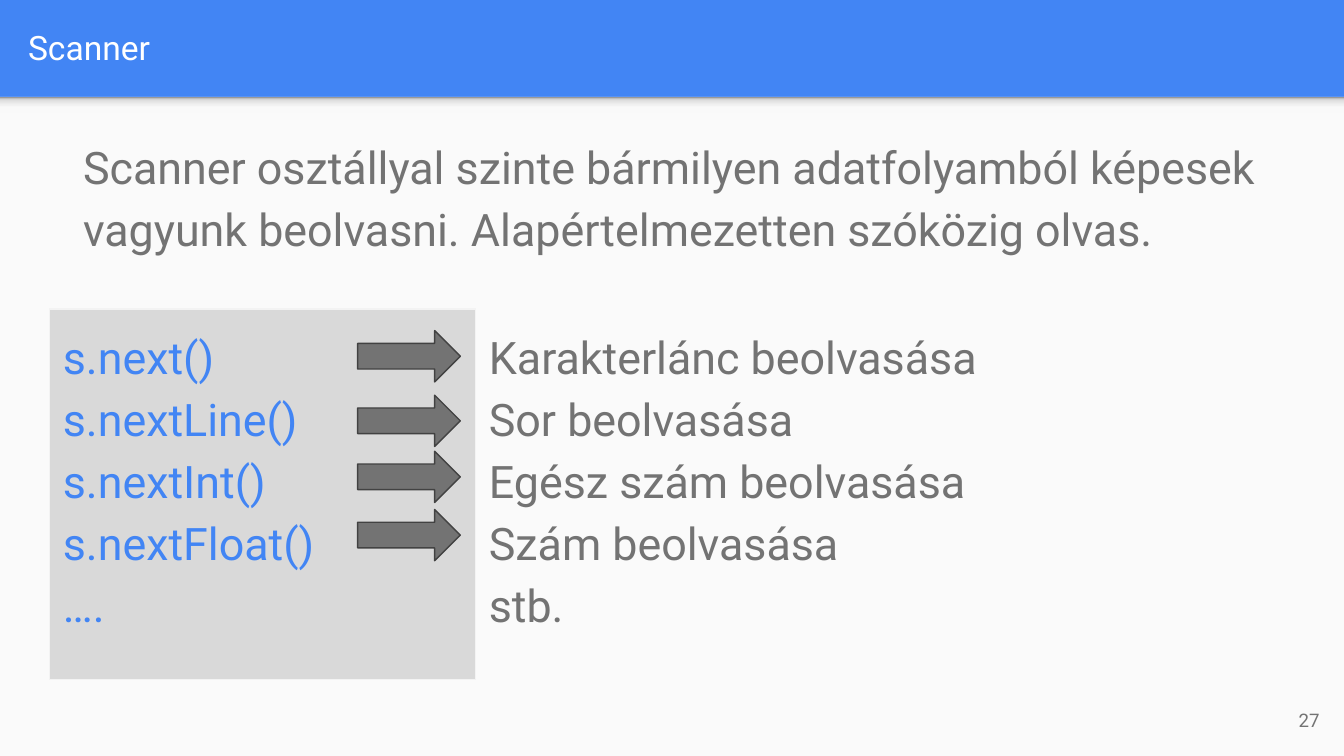
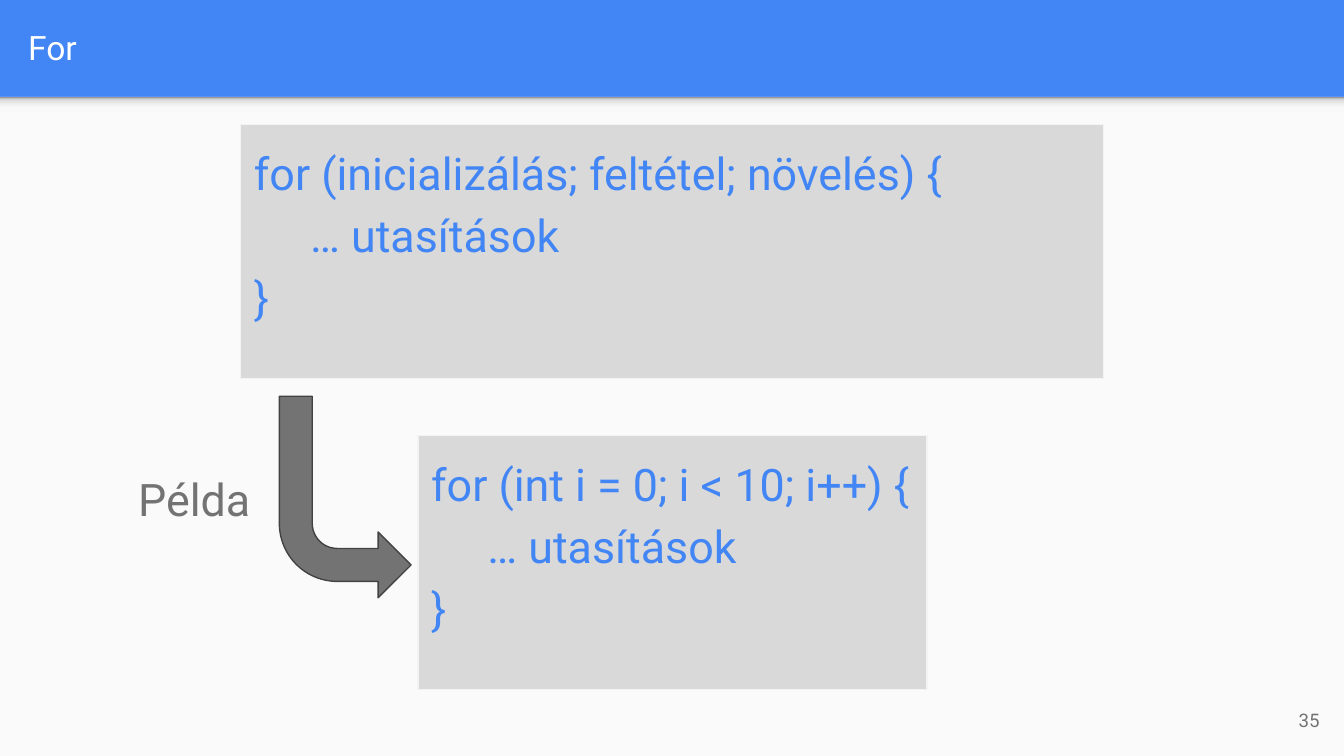
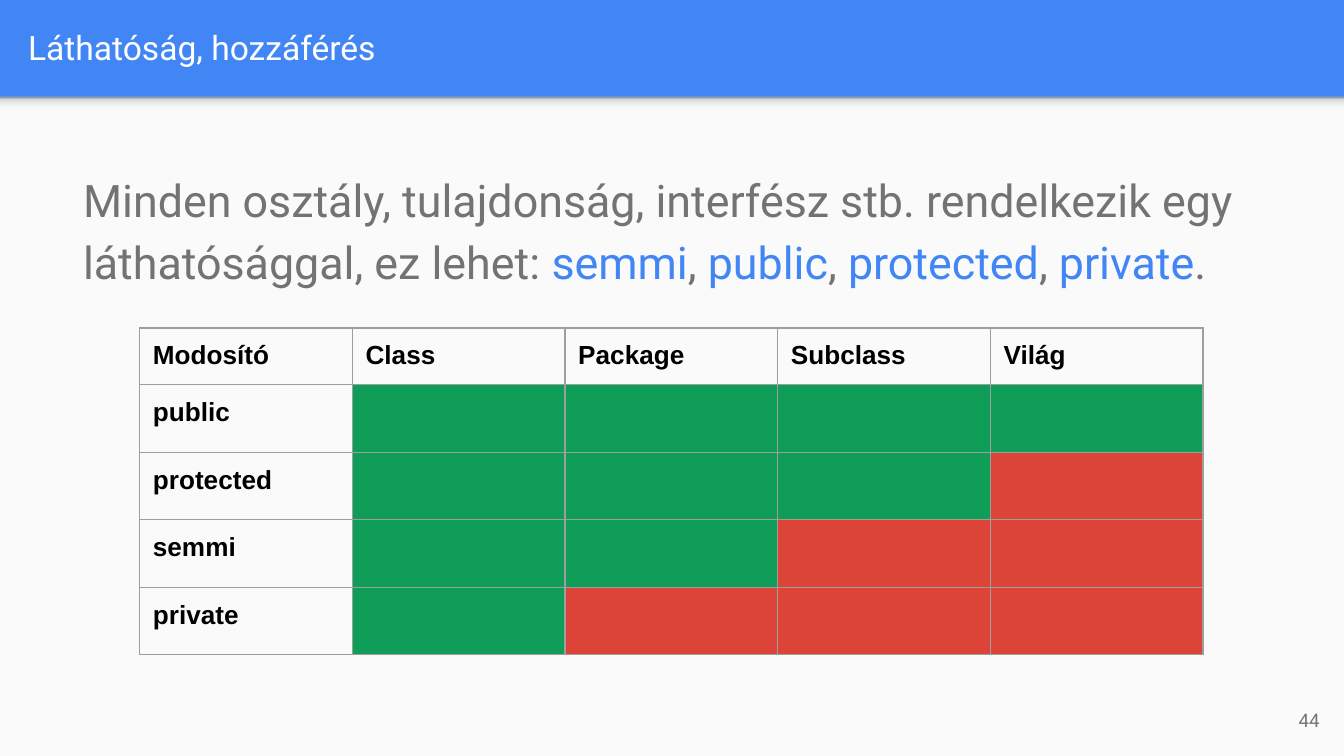
from dataclasses import dataclass

from lxml import etree
from pptx import Presentation
from pptx.dml.color import RGBColor
from pptx.enum import shapes, text
from pptx.oxml import ns
from pptx.util import Cm, Pt

# Content
READER = {
    "title": "Scanner",
    "number": 27,
    "intro": ["Scanner osztállyal szinte bármilyen adatfolyamból képesek vagyunk "
              "beolvasni. Alapértelmezetten szóközig olvas."],
    # call, meaning, top of the arrow in cm
    "calls": [
        ("s.next()", "Karakterlánc beolvasása", 6.25),
        ("s.nextLine()", "Sor beolvasása", 7.47),
        ("s.nextInt()", "Egész szám beolvasása", 8.53),
        ("s.nextFloat()", "Szám beolvasása", 9.63),
        ("….", "stb.", None),
    ],
}
LOOP = {
    "title": "For",
    "number": 35,
    "example": "Példa",
    # box in cm, first line
    "code": [
        ((4.55, 2.36, 16.31, 4.8), "for (inicializálás; feltétel; növelés) {"),
        ((7.9, 8.23, 9.62, 4.8), "for (int i = 0; i < 10; i++) {"),
    ],
    "body": "… utasítások",
}
ACCESS = {
    "title": "Láthatóság, hozzáférés",
    "number": 44,
    # every second piece is a keyword
    "intro": ["Minden osztály, tulajdonság, interfész stb. rendelkezik egy "
              "láthatósággal, ez lehet: ",
              "semmi", ", ", "public", ", ", "protected", ", ", "private", "."],
    "header": ["Modosító", "Class", "Package", "Subclass", "Világ"],
    # modifier, number of scopes that have access
    "modifiers": [("public", 4), ("protected", 3), ("semmi", 2), ("private", 1)],
}


@dataclass(frozen=True)
class Theme:
    font: str = "Roboto"
    table_font: str = "Arial"
    blue: str = "4285F4"
    white: str = "FFFFFF"
    black: str = "000000"
    page: str = "FAFAFA"
    grey: str = "737373"
    arrow_line: str = "424242"
    code_fill: str = "D9D9D9"
    code_line: str = "F3F3F3"
    border: str = "9E9E9E"
    allowed: str = "0F9D58"
    denied: str = "DB4437"
    band_shadow: tuple = ((0, "F9F9F9"), (36, "F9F9F9"), (80, "DEDEDE"), (100, "999999"))
    title_size: int = 18
    body_size: int = 24
    table_size: int = 14
    number_size: int = 10
    line_width: float = 0.75
    line_spacing: float = 1.15
    inset: float = 0.25
    indent: float = 1.06


THEME = Theme()
WIDTH, HEIGHT, BAND = 25.4, 14.29, 1.83


# Text helpers
def rgb(value):
    return RGBColor.from_string(value)


def style_run(run, color, size, font=THEME.font, bold=False):
    run.font.name, run.font.size, run.font.bold = font, Pt(size), bold
    run.font.color.rgb = rgb(color)


def prepare_frame(shape, anchor=text.MSO_ANCHOR.TOP):
    frame = shape.text_frame
    frame.word_wrap = True
    frame.auto_size = text.MSO_AUTO_SIZE.NONE
    frame.vertical_anchor = anchor
    frame.margin_left = frame.margin_right = Cm(THEME.inset)
    frame.margin_top = frame.margin_bottom = Cm(THEME.inset)
    return frame


def write_line(shape, content, color, size, align):
    frame = prepare_frame(shape, text.MSO_ANCHOR.MIDDLE)
    frame.text = content
    paragraph = frame.paragraphs[0]
    paragraph.alignment = align
    style_run(paragraph.runs[0], color, size)


def write_body(shape, lines, color):
    """Each line is (indent level, pieces); every second piece is a keyword."""
    frame = prepare_frame(shape)
    for index, (level, pieces) in enumerate(lines):
        paragraph = frame.add_paragraph() if index else frame.paragraphs[0]
        paragraph.alignment = text.PP_ALIGN.LEFT
        paragraph.line_spacing = THEME.line_spacing
        if level:
            paragraph._p.get_or_add_pPr().set("marL", str(Cm(level * THEME.indent)))
        for position, piece in enumerate(pieces):
            run = paragraph.add_run()
            run.text = piece
            style_run(run, THEME.blue if position % 2 else color, THEME.body_size)


# Shape helpers
def place(box):
    return [Cm(length) for length in box]


def add_shape(slide, kind, box, fill, line=None):
    shape = slide.shapes.add_shape(kind, *place(box))
    shape.shadow.inherit = False
    shape.fill.solid()
    shape.fill.fore_color.rgb = rgb(fill)
    if line:
        shape.line.color.rgb = rgb(line)
        shape.line.width = Pt(THEME.line_width)
    else:
        shape.line.fill.background()
    return shape


def add_arrow(slide, kind, box):
    return add_shape(slide, kind, box, THEME.grey, THEME.arrow_line)


def add_code(slide, box, lines):
    shape = add_shape(slide, shapes.MSO_SHAPE.RECTANGLE, box,
                      THEME.code_fill, THEME.code_line)
    write_body(shape, lines, THEME.blue)


def add_body(slide, box, lines):
    write_body(slide.shapes.add_textbox(*place(box)), lines, THEME.grey)


def add_band_shadow(slide):
    shape = add_shape(slide, shapes.MSO_SHAPE.RECTANGLE, (0, BAND, WIDTH, 0.31), THEME.page)
    shape.fill.gradient()
    shape.fill.gradient_angle = 90
    stops = shape._element.spPr.find(".//" + ns.qn("a:gsLst"))
    for stop in list(stops):
        stops.remove(stop)
    for percent, color in THEME.band_shadow:
        stop = etree.SubElement(stops, ns.qn("a:gs"), pos=str(percent * 1000))
        etree.SubElement(stop, ns.qn("a:srgbClr"), val=color)


def add_slide(presentation, content):
    """Title band, page, shadow under the band and slide number."""
    slide = presentation.slides.add_slide(presentation.slide_layouts[5])
    add_shape(slide, shapes.MSO_SHAPE.RECTANGLE, (0, BAND, WIDTH, HEIGHT - BAND), THEME.page)
    add_band_shadow(slide)
    title = slide.shapes.title
    title.left, title.top, title.width, title.height = place((0.28, 0.05, 24.51, 1.68))
    write_line(title, content["title"], THEME.white, THEME.title_size, text.PP_ALIGN.LEFT)
    number = slide.shapes.add_textbox(*place((23.67, 13.06, 1.52, 1.09)))
    write_line(number, str(content["number"]), THEME.grey, THEME.number_size,
               text.PP_ALIGN.RIGHT)
    return slide


# Table helpers
def style_cell(cell, content, fill):
    cell.margin_left = cell.margin_right = Cm(THEME.inset)
    cell.margin_top = cell.margin_bottom = Cm(THEME.inset)
    properties = cell._tc.get_or_add_tcPr()
    for side in ("lnL", "lnR", "lnT", "lnB"):
        line = etree.SubElement(properties, ns.qn("a:" + side), w=str(Pt(THEME.line_width)))
        solid = etree.SubElement(line, ns.qn("a:solidFill"))
        etree.SubElement(solid, ns.qn("a:srgbClr"), val=THEME.border)
    if fill:
        cell.fill.solid()
        cell.fill.fore_color.rgb = rgb(fill)
    else:
        cell.fill.background()
    if content:
        cell.text_frame.text = content
        style_run(cell.text_frame.paragraphs[0].runs[0], THEME.black,
                  THEME.table_size, THEME.table_font, bold=True)


def add_access_table(slide, header, modifiers):
    column_width, header_height, row_height = 4.02, 1.07, 1.22
    scopes = len(header) - 1
    rows = [[(name, None) for name in header]]
    for modifier, allowed in modifiers:
        rows.append([(modifier, None)] + [
            ("", THEME.allowed if scope < allowed else THEME.denied)
            for scope in range(scopes)])
    box = (2.64, 6.2, column_width * len(header),
           header_height + row_height * len(modifiers))
    table = slide.shapes.add_table(len(rows), len(header), *place(box)).table
    table.first_row = table.horz_banding = False
    for column in table.columns:
        column.width = Cm(column_width)
    for index, row in enumerate(rows):
        table.rows[index].height = Cm(row_height if index else header_height)
        for position, (content, fill) in enumerate(row):
            style_cell(table.cell(index, position), content, fill)


# Slides
def build_reader(presentation):
    slide = add_slide(presentation, READER)
    add_body(slide, (1.32, 2.24, 22.83, 9.98), [(0, READER["intro"])])
    calls = READER["calls"]
    add_code(slide, (0.94, 5.84, 8.05, 7.01), [(0, [call]) for call, _, _ in calls])
    add_body(slide, (8.99, 5.84, 15.8, 7.01), [(0, [meaning]) for _, meaning, _ in calls])
    for _, _, top in calls:
        if top:
            add_arrow(slide, shapes.MSO_SHAPE.RIGHT_ARROW, (6.76, top, 1.94, 0.97))


def build_loop(presentation):
    slide = add_slide(presentation, LOOP)
    for box, opening in LOOP["code"]:
        add_code(slide, box, [(0, [opening]), (1, [LOOP["body"]]), (0, ["}"])])
    arrow = add_arrow(slide, shapes.MSO_SHAPE.BENT_ARROW, (5.28, 7.49, 2.49, 3.81))
    arrow.adjustments[3] = 0.44
    arrow.rotation = 180
    arrow._element.spPr.find(ns.qn("a:xfrm")).set("flipH", "1")
    add_body(slide, (2.36, 8.51, 3.2, 2.49), [(0, [LOOP["example"]])])


def build_access(presentation):
    slide = add_slide(presentation, ACCESS)
    add_body(slide, (1.32, 2.87, 22.83, 9.98), [(0, ACCESS["intro"])])
    add_access_table(slide, ACCESS["header"], ACCESS["modifiers"])


def main():
    presentation = Presentation()
    presentation.slide_width, presentation.slide_height = Cm(WIDTH), Cm(HEIGHT)
    background = presentation.slide_master.background.fill
    background.solid()
    background.fore_color.rgb = rgb(THEME.blue)
    for build in (build_reader, build_loop, build_access):
        build(presentation)
    presentation.save("out.pptx")


if __name__ == "__main__":
    main()
